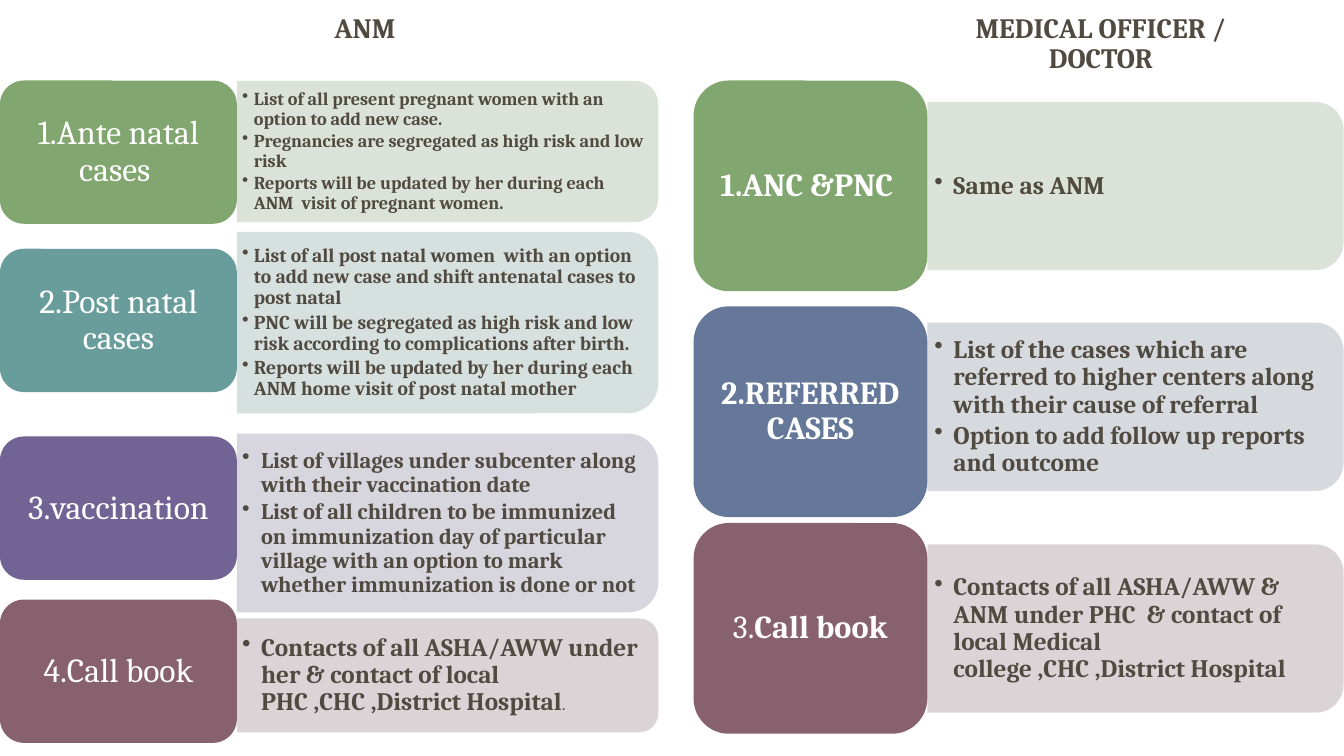
"""Build a slide comparing the app sections for the ANM and the medical officer."""
from lxml import etree
from pptx import Presentation
from pptx import util as u
from pptx.dml.color import RGBColor
from pptx.enum import shapes, text
from pptx.oxml.ns import qn

INK, WHITE = "514A40", "FFFFFF"
CENTER, LEFT = text.PP_ALIGN.CENTER, text.PP_ALIGN.LEFT
TOP, MIDDLE = text.MSO_ANCHOR.TOP, text.MSO_ANCHOR.MIDDLE
CORNER = 0.167


def paint(fill, color):
    fill.solid()
    fill.fore_color.rgb = RGBColor.from_string(color)


def write(box, paragraphs, color, align, anchor, inset, indent=0, bulleted=False):
    frame = box.text_frame
    frame.word_wrap = True
    frame.auto_size = text.MSO_AUTO_SIZE.NONE
    frame.vertical_anchor = anchor
    frame.margin_left = frame.margin_right = u.Cm(inset[0])
    frame.margin_top = frame.margin_bottom = u.Cm(inset[1])
    for number, spans in enumerate(paragraphs):
        para = frame.add_paragraph() if number else frame.paragraphs[0]
        properties = para._p.get_or_add_pPr()
        properties.set("marL", str(u.Cm(indent)))
        properties.set("indent", str(u.Cm(-indent if bulleted else 0)))
        if bulleted:
            para.level = 1
            bullet_color = etree.SubElement(properties, qn("a:buClr"))
            etree.SubElement(bullet_color, qn("a:srgbClr"), val=color)
            etree.SubElement(properties, qn("a:buChar"), char="•")
        para.alignment = align
        para.line_spacing = 0.9
        para.space_before = u.Pt(round(0.15 * spans[0][1], 1) if number else 0)
        for words, size, bold in spans:
            span = para.add_run()
            span.text = words
            span.font.name = "Cambria"
            span.font.size = u.Pt(size)
            span.font.bold = bold
            paint(span.font.fill, color)


deck = Presentation()
deck.slide_width, deck.slide_height = u.Cm(33.87), u.Cm(19.05)
comparison = deck.slide_layouts.get_by_name("Comparison")
page = deck.slides.add_slide(comparison)

headings = {1: ("ANM ", 7.09, 4.24, 1.09),
            3: ("MEDICAL OFFICER / DOCTOR", 23.77, 7.82, 1.78)}
for holder in list(page.placeholders):
    index = holder.placeholder_format.idx
    if index not in headings:
        holder.element.getparent().remove(holder.element)
        continue
    words, left, width, height = headings[index]
    holder.left, holder.top = u.Cm(left), u.Cm(0.23)
    holder.width, holder.height = u.Cm(width), u.Cm(height)
    write(holder, [[(words, 20, True)]], INK, CENTER, TOP, (0.25, 0.13), 0.13)

# Columns: label left, label width, label height, panel width, panel text inset, rows.
# Rows: label top, label colour, label spans, panel middle, panel height, panel colour, bullets.
columns = [
    (0, 5.97, 3.61, 10.62, (0.13, 0.08), [
        (2.03, "82A670", [("1.Ante natal cases ", 24, False)], 3.82, 3.56, "D8E0D4", [
            [("List of all present pregnant women with an option to add new case.", 13, True)],
            [("Pregnancies are segregated as high risk and low risk", 13, True)],
            [("Reports will be updated by her during each ANM  visit of pregnant women.", 13, True)]]),
        (6.27, "699D9C", [("2.Post natal cases", 24, False)], 8.13, 4.57, "D2DDDC", [
            [("List of all post natal women  with an option to add new case and shift "
              "antenatal cases to post natal", 14, True)],
            [("PNC will be segregated as high risk and low risk according to "
              "complications after birth.", 14, True)],
            [("Reports will be updated by her during each ANM home visit of "
              "post natal mother", 14, True)]]),
        (11, "716393", [("3.vaccination", 24, False)], 13.18, 4.5, "D3D1DB", [
            [("List of villages under subcenter along with their vaccination date", 16, True)],
            [("List of all children to be immunized on immunization day of particular village "
              "with an option to mark whether immunization is done or not", 16, True)]]),
        (15.11, "88616F", [("4.Call book", 24, False)], 17.02, 2.87, "D8D0D3", [
            [("Contacts of all ASHA/AWW under her & contact of local PHC ,CHC ,District Hospital",
              18, True), (".", 12, False)]]),
    ]),
    (17.48, 5.89, 5.31, 10.49, (0.18, 0.1), [
        (2.03, "82A670", [("1.ANC &PNC ", 23, True)], 4.69, 4.24, "D8E0D4", [
            [("Same as ANM", 18, True)]]),
        (7.72, "657899", [("2.REFERRED CASES", 23, True)], 10.25, 4.24, "D2D5DB", [
            [("List of the cases which are referred to higher centers along with their "
              "cause of referral", 18, True)],
            [("Option to add follow up reports and outcome", 18, True)]]),
        (13.18, "88616F", [("3.", 23, False), ("Call book", 23, True)], 15.84, 4.24, "D8D0D3", [
            [("Contacts of all ASHA/AWW & ANM under PHC  & contact of local Medical "
              "college ,CHC ,District Hospital", 18, True)]]),
    ]),
]

for left, label_width, label_height, panel_width, inset, rows in columns:
    panel_left = left + label_width
    for top, label_color, label_spans, middle, height, panel_color, bullets in rows:
        panel = page.shapes.add_shape(
            shapes.MSO_SHAPE.ROUND_2_SAME_RECTANGLE,
            u.Cm(panel_left + (panel_width - height) / 2), u.Cm(middle - panel_width / 2),
            u.Cm(height), u.Cm(panel_width))
        panel.rotation = 90
        panel.adjustments[0], panel.adjustments[1] = CORNER, 0
        paint(panel.fill, panel_color)
        tint = panel.fill._xPr.find(qn("a:solidFill"))[0]
        etree.SubElement(tint, qn("a:alpha"), val="90000")

        corner_gap = 0.05 * height
        details = page.shapes.add_textbox(
            u.Cm(panel_left), u.Cm(middle - height / 2 + corner_gap),
            u.Cm(panel_width - corner_gap), u.Cm(height - 2 * corner_gap))
        indent = 0.3 if bullets[0][0][1] < 16 else 0.48
        write(details, bullets, INK, LEFT, MIDDLE, inset, indent, True)

        label = page.shapes.add_shape(
            shapes.MSO_SHAPE.ROUNDED_RECTANGLE,
            u.Cm(left), u.Cm(top), u.Cm(label_width), u.Cm(label_height))
        label.adjustments[0] = CORNER
        paint(label.fill, label_color)
        write(label, [label_spans], WHITE, CENTER, MIDDLE, (0.25, 0.13))

        for shape in (panel, label):
            shape.shadow.inherit = False
            shape.line.fill.background()

deck.save("out.pptx")
